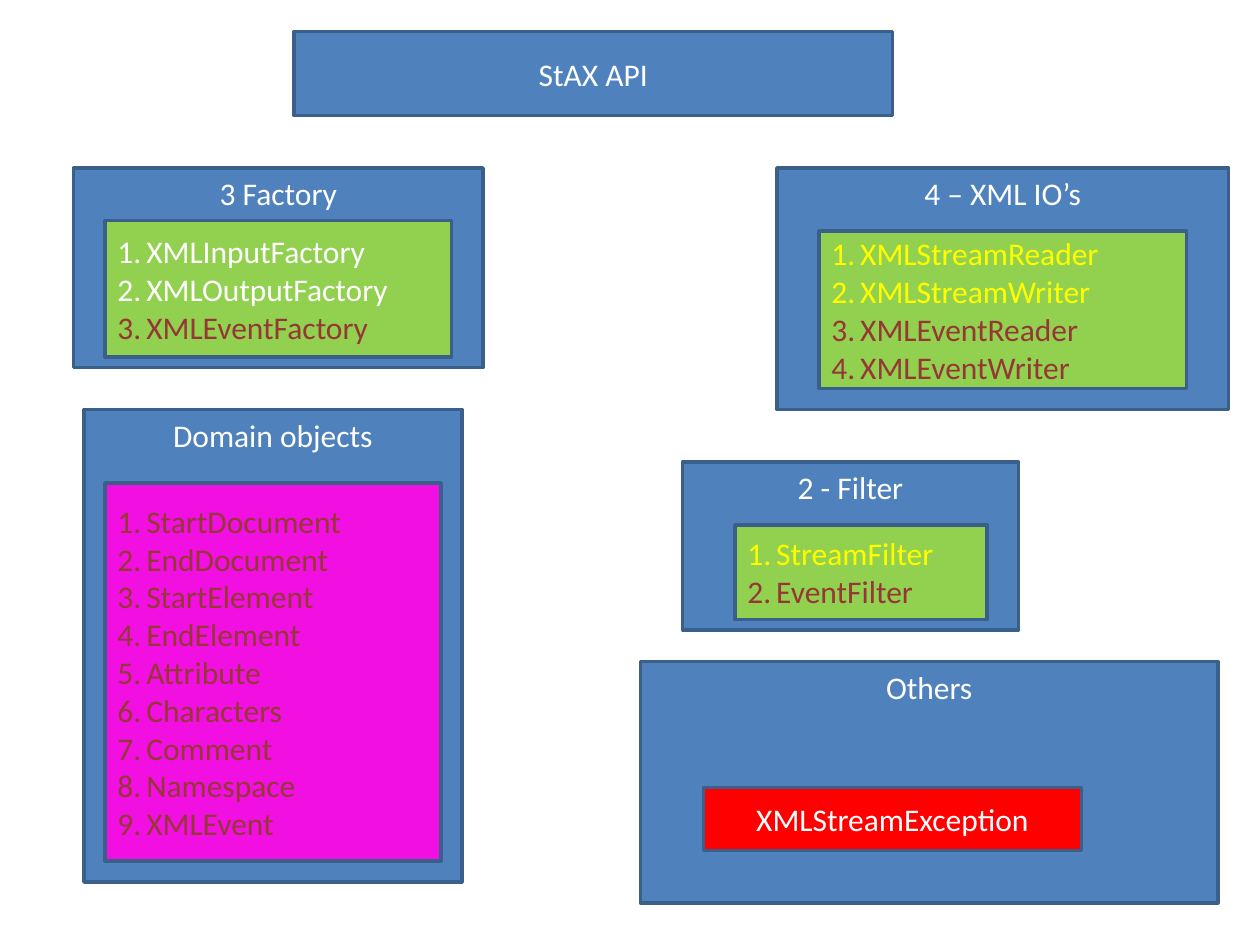
from lxml import etree
from pptx import Presentation, util as u
from pptx.dml.color import RGBColor
from pptx.enum import shapes, text
from pptx.oxml.ns import qn

PX = 9525  # EMU per px, 96 px to the inch
HANGING = 22

WHITE = RGBColor(0xFF, 0xFF, 0xFF)
BLUE = RGBColor(0x4F, 0x81, 0xBD)
BORDER = RGBColor(0x3A, 0x5F, 0x8B)
GREEN = RGBColor(0x92, 0xD0, 0x50)
MAGENTA = RGBColor(0xF1, 0x0F, 0xE1)
RED = RGBColor(0xFF, 0x00, 0x00)
YELLOW = RGBColor(0xFF, 0xFF, 0x00)
MAROON = RGBColor(0x95, 0x37, 0x35)


def px(*lengths):
    return [u.Emu(length * PX) for length in lengths]


def paint(box, fill):
    box.fill.solid()
    box.fill.fore_color.rgb = fill
    box.line.color.rgb = BORDER
    box.line.width = u.Pt(2)


def format_paragraph(paragraph, color, align=text.PP_ALIGN.CENTER):
    paragraph.alignment = align
    font = paragraph.font
    font.name = "Calibri"
    font.size = u.Pt(18)
    font.color.rgb = color


def number_paragraph(paragraph):
    """Turn the paragraph into an item of an automatically numbered list."""
    properties = paragraph._p.get_or_add_pPr()
    indent = HANGING * PX
    properties.set("marL", str(indent))
    properties.set("indent", str(-indent))
    etree.SubElement(properties, qn("a:buAutoNum"), type="arabicPeriod")


def set_title(slide, wording, bounds):
    title = slide.shapes.title
    title.left, title.top, title.width, title.height = px(*bounds)
    paint(title, BLUE)
    title.text_frame.text = wording
    format_paragraph(title.text_frame.paragraphs[0], WHITE)


def add_box(slide, bounds, fill, anchor=text.MSO_ANCHOR.MIDDLE):
    box = slide.shapes.add_shape(shapes.MSO_SHAPE.RECTANGLE, *px(*bounds))
    box.shadow.inherit = False
    paint(box, fill)
    box.text_frame.word_wrap = True
    box.text_frame.vertical_anchor = anchor
    return box.text_frame


def add_label(slide, wording, bounds, fill, anchor=text.MSO_ANCHOR.MIDDLE):
    frame = add_box(slide, bounds, fill, anchor)
    frame.text = wording
    format_paragraph(frame.paragraphs[0], WHITE)


def add_group(slide, heading, bounds):
    add_label(slide, heading, bounds, BLUE, text.MSO_ANCHOR.TOP)


def add_type_list(slide, bounds, fill, types_by_color):
    """Add a numbered list, given as (color, type names) pairs."""
    frame = add_box(slide, bounds, fill)
    entries = [(name, color) for color, names in types_by_color for name in names]
    frame.text = "\n".join(name for name, _ in entries)
    for paragraph, (_, color) in zip(frame.paragraphs, entries):
        number_paragraph(paragraph)
        format_paragraph(paragraph, color, text.PP_ALIGN.LEFT)


def main():
    deck = Presentation()
    deck.slide_width, deck.slide_height = px(960, 720)
    slide = deck.slides.add_slide(deck.slide_layouts.get_by_name("Title Only"))

    set_title(slide, "StAX API", (224, 24, 456, 64))

    add_group(slide, "3 Factory", (56, 128, 312, 152))
    add_type_list(slide, (80, 168, 264, 104), GREEN, [
        (WHITE, ["XMLInputFactory", "XMLOutputFactory"]),
        (MAROON, ["XMLEventFactory"]),
    ])

    add_group(slide, "Domain objects", (64, 312, 288, 360))
    add_type_list(slide, (80, 368, 256, 288), MAGENTA, [
        (MAROON, ["StartDocument", "EndDocument", "StartElement",
                  "EndElement", "Attribute", "Characters",
                  "Comment", "Namespace", "XMLEvent"]),
    ])

    add_group(slide, "4 – XML IO’s", (592, 128, 344, 184))
    add_type_list(slide, (624, 176, 280, 120), GREEN, [
        (YELLOW, ["XMLStreamReader", "XMLStreamWriter"]),
        (MAROON, ["XMLEventReader", "XMLEventWriter"]),
    ])

    add_group(slide, "2 - Filter", (520, 352, 256, 128))
    add_type_list(slide, (560, 400, 192, 72), GREEN, [
        (YELLOW, ["StreamFilter"]),
        (MAROON, ["EventFilter"]),
    ])

    add_group(slide, "Others", (488, 504, 440, 184))
    add_label(slide, "XMLStreamException", (536, 600, 288, 48), RED)

    deck.save("out.pptx")


if __name__ == "__main__":
    main()
